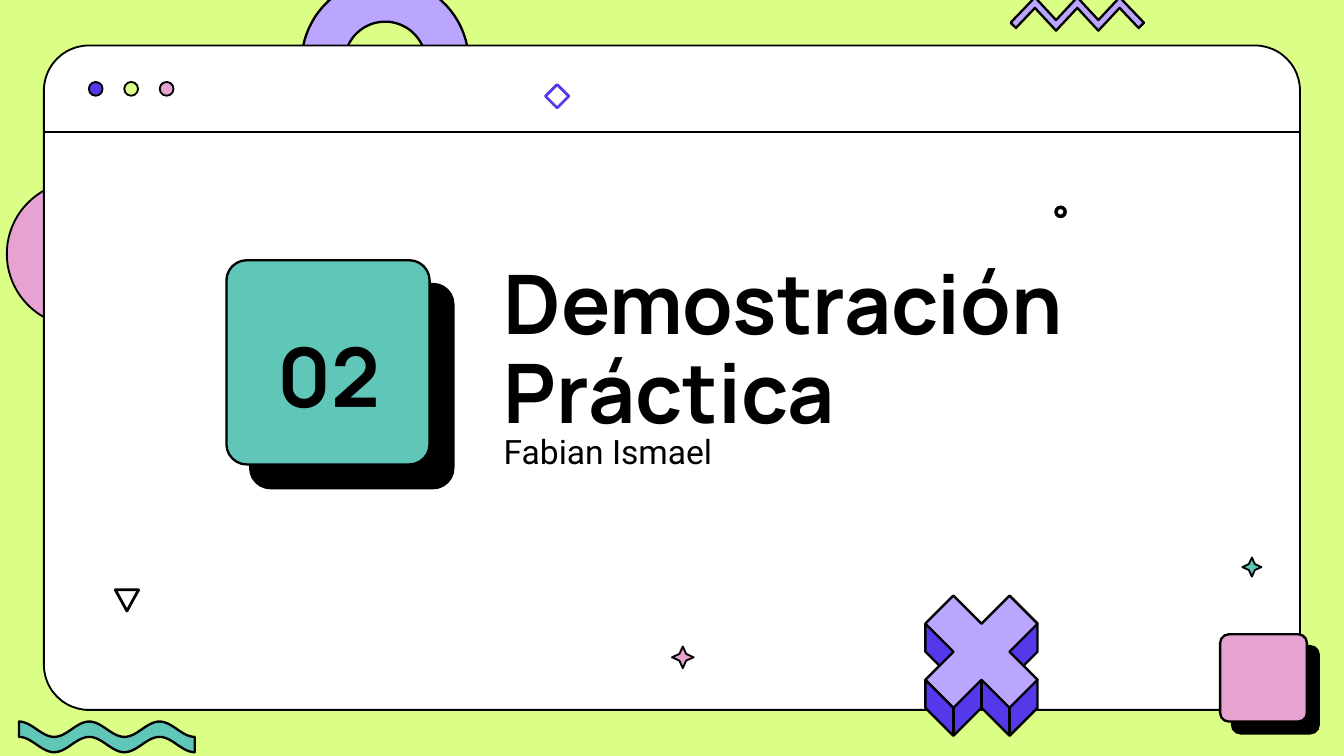
from dataclasses import dataclass
from math import cos, pi, radians, sin

from lxml.etree import SubElement
from pptx import Presentation
from pptx.dml.color import RGBColor
from pptx.enum.shapes import MSO_CONNECTOR, MSO_SHAPE
from pptx.enum.text import MSO_ANCHOR, MSO_AUTO_SIZE, PP_ALIGN
from pptx.oxml.ns import qn
from pptx.util import Cm, Pt


@dataclass(frozen=True)
class Theme:
    lime: str = "DBFE87"
    white: str = "FFFFFF"
    black: str = "000000"
    lilac: str = "BAA5FF"
    violet: str = "5339EA"
    pink: str = "E6A2D0"
    teal: str = "60C7B8"
    heading_font: str = "Manrope"
    body_font: str = "Roboto"
    heading_size: int = 44
    body_size: int = 18
    thin: float = 1
    thick: float = 1.25


THEME = Theme()
HEADING = {"name": THEME.heading_font, "size": Pt(THEME.heading_size), "bold": True}
BODY = {"name": THEME.body_font, "size": Pt(THEME.body_size), "bold": False}


def apply_format(target, values):
    for name, value in values.items():
        setattr(target, name, value)


def arc(center, radius, start, end, steps=40):
    angles = [radians(start + (end - start) * i / steps) for i in range(steps + 1)]
    return [(center[0] + radius * cos(a), center[1] + radius * sin(a)) for a in angles]


class SlideBuilder:
    def __init__(self, deck, theme):
        self.theme = theme
        self.slide = deck.slides.add_slide(deck.slide_layouts[5])
        self.shapes = self.slide.shapes
        background = self.slide.background.fill
        background.solid()
        background.fore_color.rgb = RGBColor.from_string(theme.lime)

    def paint(self, shape, fill, line, width):
        shape.shadow.inherit = False
        if fill:
            shape.fill.solid()
            shape.fill.fore_color.rgb = RGBColor.from_string(fill)
        else:
            shape.fill.background()
        shape.line.color.rgb = RGBColor.from_string(line or self.theme.black)
        shape.line.width = Pt(width)
        return shape

    def preset(self, kind, place, fill, line=None, width=THEME.thin, adjust=None):
        shape = self.shapes.add_shape(kind, *map(Cm, place))
        if adjust is not None:
            shape.adjustments[0] = adjust
        return self.paint(shape, fill, line, width)

    def outline(self, points, fill, width=THEME.thick):
        corners = [(Cm(x), Cm(y)) for x, y in points]
        builder = self.shapes.build_freeform(*corners[0])
        builder.add_line_segments(corners[1:], close=True)
        return self.paint(builder.convert_to_shape(), fill, None, width)

    def card(self, place, fill, distance):
        shape = self.preset(MSO_SHAPE.ROUNDED_RECTANGLE, place, fill,
                            width=self.theme.thick, adjust=0.1)
        effects = shape._element.spPr.find(qn("a:effectLst"))
        shadow = SubElement(effects, qn("a:outerShdw"), dist=str(Pt(distance)),
                            dir="2700000", algn="bl", rotWithShape="0")
        SubElement(shadow, qn("a:srgbClr"), val=self.theme.black)

    def line(self, start, end, width=THEME.thin):
        connector = self.shapes.add_connector(
            MSO_CONNECTOR.STRAIGHT, *map(Cm, (*start, *end)))
        connector.line.color.rgb = RGBColor.from_string(self.theme.black)
        connector.line.width = Pt(width)
        SubElement(connector._element.spPr, qn("a:effectLst"))

    def fill_box(self, box, text, place, font, anchor, align=PP_ALIGN.LEFT, before=0):
        apply_format(box, dict(zip(("left", "top", "width", "height"), map(Cm, place))))
        frame = box.text_frame
        apply_format(frame, {"word_wrap": True, "auto_size": MSO_AUTO_SIZE.NONE,
                             "vertical_anchor": anchor})
        para = frame.paragraphs[0]
        apply_format(para, {"alignment": align, "line_spacing": 0.9,
                            "space_before": Pt(before)})
        span = para.add_run()
        span.text = text
        apply_format(span.font, font)
        span.font.color.rgb = RGBColor.from_string(self.theme.black)

    def title(self, text, place):
        box = self.shapes.title
        self.shapes._spTree.append(box._element)
        self.fill_box(box, text, place, HEADING, MSO_ANCHOR.BOTTOM)

    def text(self, text, place, font, anchor=MSO_ANCHOR.TOP, align=PP_ALIGN.LEFT):
        box = self.shapes.add_textbox(*map(Cm, place))
        self.fill_box(box, text, place, font, anchor, align, before=7.5)

    def arch(self, center, outer, inner, tilt):
        middle, cap = (outer + inner) / 2, (outer - inner) / 2
        right = arc(center, middle, tilt, tilt, 1)[0]
        left = arc(center, middle, tilt + 180, tilt + 180, 1)[0]
        self.outline(
            arc(center, outer, 180 + tilt, 360 + tilt)
            + arc(right, cap, tilt, 180 + tilt)
            + arc(center, inner, 360 + tilt, 180 + tilt)
            + arc(left, cap, tilt, 180 + tilt), self.theme.lilac)

    def wave(self, left, right, top, swing, depth, periods):
        steps = 80
        edge = []
        for i in range(steps + 1):
            share = i / steps
            height = top + swing * (1 - cos(2 * pi * periods * share)) / 2
            edge.append((left + (right - left) * share, height))
        lower = [(x, y + depth) for x, y in reversed(edge)]
        self.outline(edge + lower, self.theme.teal)

    def zigzag(self, left, top, step, rise, depth):
        ridge = [(left + step * i, top + rise * (i % 2)) for i in range(5)]
        lower = [(x, y + depth) for x, y in reversed(ridge)]
        first, last, end = left, left + 4 * step, top + rise
        self.outline(
            [(first - 0.46, end + 0.05)] + ridge
            + [(last + 0.46, end + 0.05), (last + 0.36, end + 0.15)]
            + lower + [(first - 0.36, end + 0.15)], self.theme.lilac)

    def block_cross(self, center, unit):
        def place(points):
            return [(center[0] + unit * x, center[1] + unit * y) for x, y in points]

        top = [(-2, -1), (-1, -2), (0, -1), (1, -2), (2, -1)]
        sides = [(2, 0), (1.5, 0.5), (2, 1), (2, 2), (1, 3), (0, 2),
                 (-1, 3), (-2, 2), (-2, 1), (-1.5, 0.5), (-2, 0)]
        face = [(1, 0), (2, 1), (1, 2), (0, 1), (-1, 2), (-2, 1), (-1, 0)]
        self.outline(place(top + sides), self.theme.violet)
        self.outline(place(top + face), self.theme.lilac)
        for x, y in ((-1, 2), (0, 1), (1, 2)):
            self.line(*place([(x, y), (x, y + 1)]), width=self.theme.thick)


def main():
    deck = Presentation()
    apply_format(deck, {"slide_width": Cm(25.4), "slide_height": Cm(14.29)})
    page = SlideBuilder(deck, THEME)

    page.arch((7.28, 1.18), 1.58, 0.77, -2.5)
    page.outline(arc((1.5, 4.8), 1.37, 90, 270), THEME.pink, THEME.thin)
    page.preset(MSO_SHAPE.ROUNDED_RECTANGLE, (0.83, 0.86, 23.74, 12.56),
                THEME.white, adjust=0.068)
    page.line((0.83, 2.5), (24.57, 2.5))

    page.card((4.28, 4.92, 3.84, 3.86), THEME.teal, 18)
    page.title("Demostración Práctica", (9.27, 4.78, 12.09, 3.68))
    page.text("Fabian Ismael", (9.27, 8.1, 11, 1.19), BODY)
    page.text("02", (4.29, 6.2, 3.84, 2.01), HEADING, MSO_ANCHOR.MIDDLE, PP_ALIGN.CENTER)

    for place, color in (((12.7, 12.22, 0.41, 0.41), THEME.pink),
                         ((23.48, 10.54, 0.36, 0.36), THEME.teal)):
        page.preset(MSO_SHAPE.STAR_4_POINT, place, color, adjust=0.22)
    page.preset(MSO_SHAPE.FLOWCHART_MERGE, (2.18, 11.15, 0.44, 0.4), None, width=1.5)
    page.preset(MSO_SHAPE.DIAMOND, (10.31, 1.6, 0.44, 0.44), None, THEME.violet, 1.5)
    page.preset(MSO_SHAPE.DONUT, (19.93, 3.89, 0.23, 0.23), THEME.black,
                width=0.25, adjust=0.25)

    page.block_cross((18.55, 12.32), 0.53)
    page.card((23.06, 11.99, 1.64, 1.65), THEME.pink, 9)
    for i, color in enumerate((THEME.violet, THEME.lime, THEME.pink)):
        page.preset(MSO_SHAPE.OVAL, (1.68 + 0.67 * i, 1.55, 0.26, 0.26), color)
    page.wave(0.36, 3.68, 13.64, 0.29, 0.29, 2.5)
    page.zigzag(19.56, -0.05, 0.4, 0.43, 0.2)

    deck.save("out.pptx")


if __name__ == "__main__":
    main()
